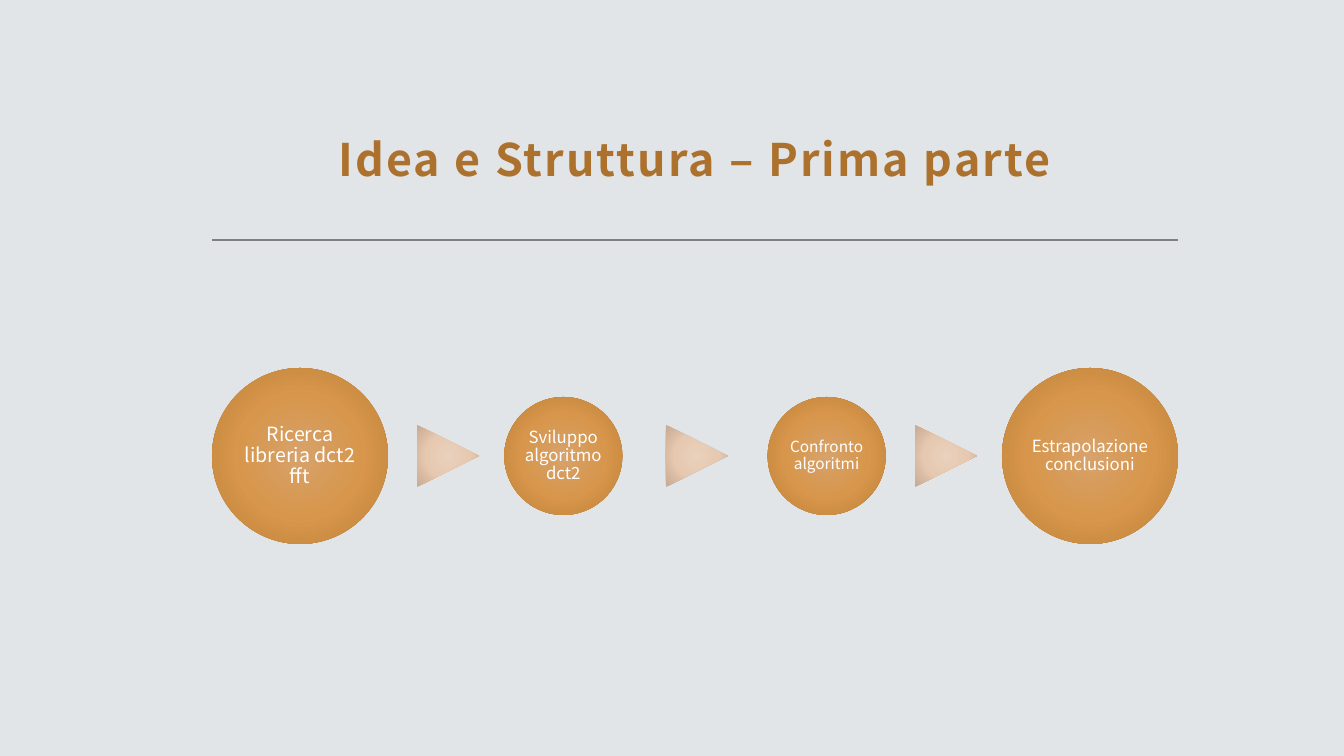
import pptx
import pptx.util
import pptx.oxml
import pptx.oxml.ns
from dataclasses import dataclass
from lxml import etree
from pptx.dml.color import RGBColor
from pptx.enum.shapes import MSO_CONNECTOR, MSO_SHAPE
from pptx.enum.text import MSO_ANCHOR, PP_ALIGN


@dataclass
class Theme:
    font: str = "Noto Sans CJK JP"
    back: str = "E2E5E8"
    title: str = "AC722D"
    rule: str = "808080"
    white: str = "FFFFFF"
    disc: tuple = ("D7A26B", "D7964B", "BC803A")
    arrow: tuple = ("E9D1BE", "E7C8B0", "C7AA93")
    head: int = 32
    large: int = 14
    mid: int = 12
    small: int = 11


theme = Theme()
PX = 914400 / 100.8


def px(*nums):
    return [round(n * PX) for n in nums]


def write(shape, text, size, color, bold=False, space=0.9, track=0,
          anchor=MSO_ANCHOR.MIDDLE, pad=(2, 2, 2, 2)):
    frame = shape.text_frame
    frame.word_wrap = True
    frame.vertical_anchor = anchor
    (frame.margin_left, frame.margin_top,
     frame.margin_right, frame.margin_bottom) = px(*pad)
    para = frame.paragraphs[0]
    para.alignment = PP_ALIGN.CENTER
    para.line_spacing = space
    run = para.add_run()
    run.text = text
    run.font.name = theme.font
    run.font.size = pptx.util.Pt(size)
    run.font.bold = bold
    run.font.color.rgb = RGBColor.from_string(color)
    if track:
        run.font._element.set("spc", str(track))


# Slide and background
deck = pptx.Presentation()
deck.slide_width, deck.slide_height = px(1344, 756)
slide = deck.slides.add_slide(deck.slide_layouts[5])
fill = slide.background.fill
fill.solid()
fill.fore_color.rgb = RGBColor.from_string(theme.back)

# Title
title = slide.shapes.title
title.left, title.top, title.width, title.height = px(212, 48, 966, 148)
write(title, "Idea e Struttura – Prima parte", theme.head, theme.title,
      bold=True, space=1.3, track=150, anchor=MSO_ANCHOR.BOTTOM,
      pad=(12, 12, 12, 10))

# Rule under the title
rule = slide.shapes.add_connector(MSO_CONNECTOR.STRAIGHT, *px(212, 240, 1178, 240))
rule.line.color.rgb = RGBColor.from_string(theme.rule)
rule.line.width = pptx.util.Pt(2)
etree.SubElement(rule._element.spPr, pptx.oxml.ns.qn("a:effectLst"))

# Steps: (text, diameter, type size), with an arrow after all but the last
steps = [
    ("Ricerca libreria dct2 fft", 176, theme.large),
    ("Sviluppo algoritmo dct2", 118, theme.mid),
    ("Confronto algoritmi", 118, theme.small),
    ("Estrapolazione conclusioni", 176, theme.mid),
]
mid = 456
parts = []
for i, (text, size, pt) in enumerate(steps):
    x = 300 + i * 790 / 3
    disc = slide.shapes.add_shape(
        MSO_SHAPE.OVAL, *px(x - size / 2, mid - size / 2, size, size))
    write(disc, text, pt, theme.white)
    parts.append((disc, theme.disc))
    if i < len(steps) - 1:
        x = 448 + i * 249
        arrow = slide.shapes.add_shape(
            MSO_SHAPE.ISOSCELES_TRIANGLE, *px(x - 31, mid - 31, 62, 62))
        arrow.rotation = 90
        parts.append((arrow, theme.arrow))

# Radial shading of discs and arrows
for shape, tones in parts:
    shape.shadow.inherit = False
    shape.line.fill.background()
    shape.fill.solid()
    stops = "".join(
        f'<a:gs pos="{n * 50000}"><a:srgbClr val="{tone}"/></a:gs>'
        for n, tone in enumerate(tones))
    grad = pptx.oxml.parse_xml(
        f'<a:gradFill {pptx.oxml.ns.nsdecls("a")} rotWithShape="1">'
        f'<a:gsLst>{stops}</a:gsLst><a:path path="circle">'
        '<a:fillToRect l="100000" t="100000" r="100000" b="100000"/>'
        '</a:path></a:gradFill>')
    props = shape._element.spPr
    props.replace(props.find(pptx.oxml.ns.qn("a:solidFill")), grad)

deck.save("out.pptx")
